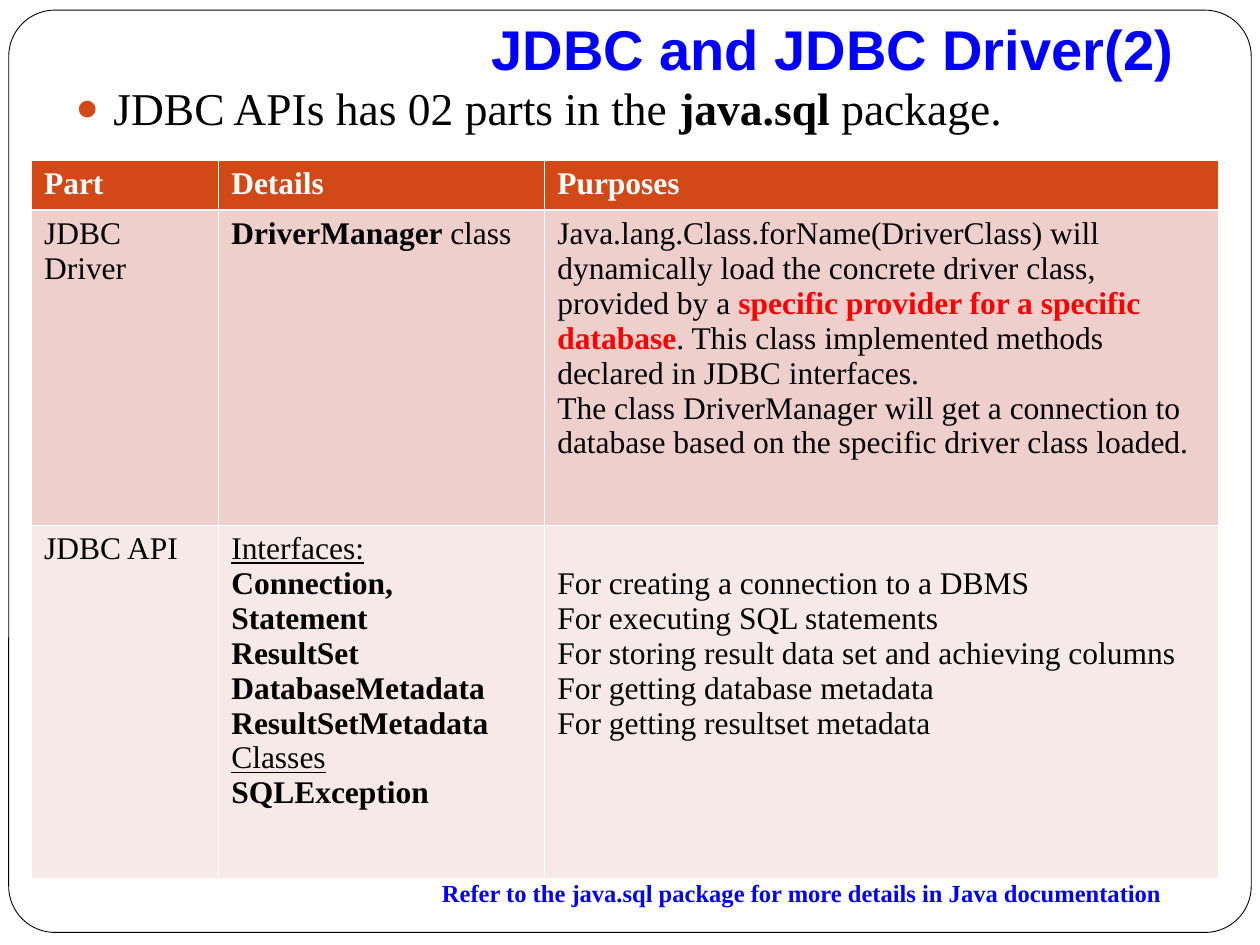
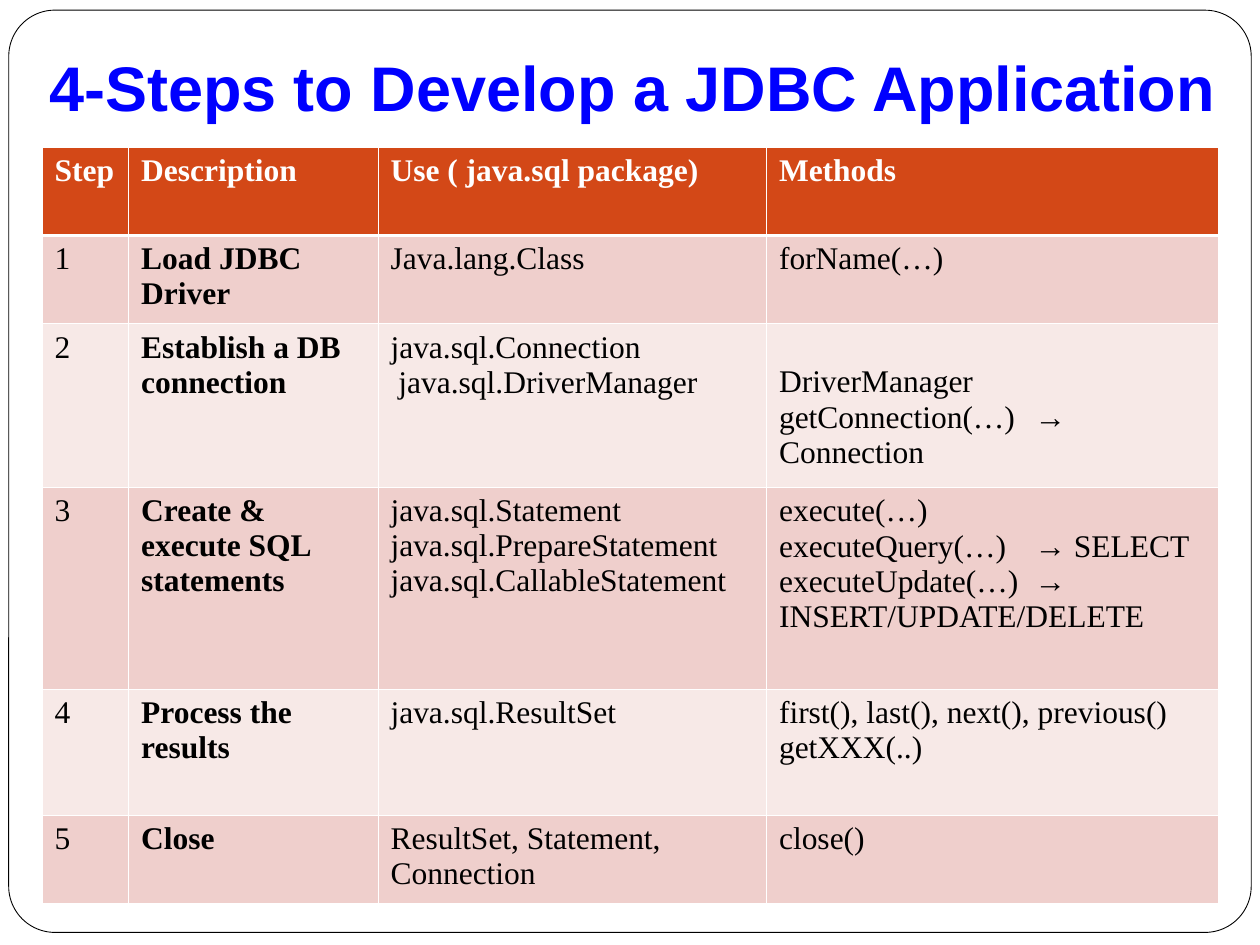
from lxml import etree
from pptx import Presentation
from pptx.dml.color import RGBColor
from pptx.enum.shapes import MSO_SHAPE
from pptx.enum.text import MSO_ANCHOR, MSO_AUTO_SIZE, PP_ALIGN
from pptx.oxml.ns import qn
from pptx.util import Pt

ROUNDED = MSO_SHAPE.ROUNDED_RECTANGLE
BOTTOM, TOP = MSO_ANCHOR.BOTTOM, MSO_ANCHOR.TOP
NO_FIT, GROW = MSO_AUTO_SIZE.NONE, MSO_AUTO_SIZE.SHAPE_TO_FIT_TEXT
RIGHT, JUSTIFY, LEFT = PP_ALIGN.RIGHT, PP_ALIGN.JUSTIFY, PP_ALIGN.LEFT

COLORS = {
    "white": "FFFFFF",
    "black": "000000",
    "blue": "0000FF",
    "red": "FF0000",
    "orange": "D34817",
    "odd": "EFCFCC",
    "even": "F7E9E7",
}
SERIF, SANS = "Times New Roman", "Arial"
TEXT = {"name": SERIF, "size": 18, "bold": False, "color": "black"}
HEADER = {**TEXT, "bold": True, "color": "white"}
BULLET = {**TEXT, "size": 26}
NOTE = {**TEXT, "size": 14, "bold": True, "color": "blue"}
TITLE = {"name": SANS, "bold": True, "color": "blue"}
BOLD = {"bold": True}
UNDERLINE = {"underline": True}
WARNING = {"bold": True, "color": "red"}
ARROW = ("→", {"name": SANS})
ARROW_TAB = 146
WORD_GAP = 4.5
LINE_HEIGHT = 19.9
MARGIN_TOP = 3.6
THIN, THICK = 0.5, 1.5

PARTS = [
    ["Part", "Details", "Purposes"],
    [
        "JDBC Driver",
        [[("DriverManager ", BOLD), "class"]],
        [
            [
                "Java.lang.Class.forName(DriverClass) will dynamically load the "
                "concrete driver class, provided by a ",
                ("specific provider for a specific database", WARNING),
                ". This class implemented methods declared in JDBC interfaces.",
            ],
            "The class DriverManager will get a connection to database based on "
            "the specific driver class loaded.",
        ],
    ],
    [
        "JDBC API",
        [
            ("Interfaces:", UNDERLINE),
            ("Connection,", BOLD),
            ("Statement", BOLD),
            ("ResultSet", BOLD),
            ("DatabaseMetadata", BOLD),
            ("ResultSetMetadata", BOLD),
            ("Classes", UNDERLINE),
            ("SQLException", BOLD),
        ],
        [
            "For creating a connection to a DBMS",
            "For executing SQL statements",
            "For storing result data set and achieving columns",
            "For getting database metadata",
            "For getting resultset metadata",
        ],
    ],
]

STEPS = [
    ["Step", "Description", "Use ( java.sql package)", "Methods"],
    ["1", ("Load JDBC Driver", BOLD), "Java.lang.Class", "forName(…)"],
    [
        "2",
        ("Establish a DB connection", BOLD),
        ["java.sql.Connection", "java.sql.DriverManager"],
        [["DriverManager getConnection(…)\t", ARROW, " Connection"]],
    ],
    [
        "3",
        ("Create & execute SQL statements", BOLD),
        ["java.sql.Statement", "java.sql.PrepareStatement", "java.sql.CallableStatement"],
        [
            "execute(…)",
            ["executeQuery(…)\t", ARROW, " SELECT"],
            ["executeUpdate(…)\t", ARROW, " INSERT/UPDATE/DELETE"],
        ],
    ],
    [
        "4",
        ("Process the results", BOLD),
        "java.sql.ResultSet",
        ["first(), last(), next(), previous()", "getXXX(..)"],
    ],
    ["5", ("Close", BOLD), "ResultSet, Statement, Connection", "close()"],
]


def rgb(name):
    return RGBColor.from_string(COLORS[name])


def set_all(target, values):
    for name, value in values.items():
        setattr(target, name, value)


def as_list(content):
    return content if isinstance(content, list) else [content]


def place(shape, left, top, width, height):
    sides = {"left": left, "top": top, "width": width, "height": height}
    set_all(shape, {name: Pt(value) for name, value in sides.items()})


def add_element(parent, tag, **attributes):
    return etree.SubElement(parent, qn(tag), attributes)


def write_spans(para, spans, base):
    for span in as_list(spans):
        words, changes = span if isinstance(span, tuple) else (span, {})
        values = {**base, **changes}
        run = para.add_run()
        run.text = words
        run.font.color.rgb = rgb(values.pop("color"))
        values["size"] = Pt(values["size"])
        set_all(run.font, values)


def add_tab(para, position):
    tabs = add_element(para._p.get_or_add_pPr(), "a:tabLst")
    add_element(tabs, "a:tab", pos=str(Pt(position)), algn="l")


def add_page(deck, layout, title, size, bounds):
    page = deck.slides.add_slide(deck.slide_layouts[layout])
    frame = page.shapes.add_shape(ROUNDED, Pt(5), Pt(5.8), Pt(710), Pt(527))
    frame.adjustments[0] = 0.05
    frame.shadow.inherit = False
    frame.fill.solid()
    frame.fill.fore_color.rgb = rgb("white")
    frame.line.color.rgb = rgb("black")
    frame.line.width = Pt(THIN)
    page.shapes._spTree.insert(2, frame._element)

    heading = page.shapes.title
    place(heading, *bounds)
    set_all(heading.text_frame, {
        "vertical_anchor": BOTTOM, "auto_size": NO_FIT, "margin_bottom": Pt(7.2),
    })
    para = heading.text_frame.paragraphs[0]
    para.alignment = RIGHT
    write_spans(para, title, {**TITLE, "size": size})
    return page


def fill_bullet(box, spans, bounds):
    place(box, *bounds)
    set_all(box.text_frame, {"vertical_anchor": TOP, "auto_size": NO_FIT})
    para = box.text_frame.paragraphs[0]
    properties = para._p.get_or_add_pPr()
    properties.set("marL", str(Pt(21.6)))
    properties.set("indent", str(Pt(-21.6)))
    color = add_element(properties, "a:buClr")
    add_element(color, "a:srgbClr", val=COLORS["orange"])
    add_element(properties, "a:buSzPct", val="85000")
    add_element(properties, "a:buFont", typeface=SANS)
    add_element(properties, "a:buChar", char="●")
    set_all(para, {"alignment": JUSTIFY, "line_spacing": 0.8, "space_before": Pt(0)})
    write_spans(para, spans, BULLET)


def add_note(page, words, bounds):
    box = page.shapes.add_textbox(*map(Pt, bounds))
    set_all(box.text_frame, {"word_wrap": False, "auto_size": GROW})
    para = box.text_frame.paragraphs[0]
    para.alignment = LEFT
    write_spans(para, words, NOTE)


def set_borders(cell, row):
    widths = {
        "a:lnL": THIN,
        "a:lnR": THIN,
        "a:lnT": THICK if row == 1 else THIN,
        "a:lnB": THICK if row == 0 else THIN,
    }
    properties = cell._tc.get_or_add_tcPr()
    for tag, width in widths.items():
        line = add_element(properties, tag, w=str(Pt(width)))
        fill = add_element(line, "a:solidFill")
        add_element(fill, "a:srgbClr", val=COLORS["white"])


def fill_cell(cell, content, row):
    set_borders(cell, row)
    cell.fill.solid()
    cell.fill.fore_color.rgb = rgb("orange" if row == 0 else "odd" if row % 2 else "even")
    frame = cell.text_frame
    for index, spans in enumerate(as_list(content)):
        para = frame.add_paragraph() if index else frame.paragraphs[0]
        if ARROW in as_list(spans):
            add_tab(para, ARROW_TAB)
        write_spans(para, spans, TEXT if row else HEADER)


def add_grid(page, rows, left, top, widths, heights):
    bounds = map(Pt, (left, top, sum(widths), sum(heights)))
    table = page.shapes.add_table(len(rows), len(widths), *bounds).table
    table.horz_banding = False
    for column, width in zip(table.columns, widths):
        column.width = Pt(width)
    for row, height in zip(table.rows, heights):
        row.height = Pt(height)
    for row, contents in enumerate(rows):
        for column, content in enumerate(contents):
            fill_cell(table.cell(row, column), content, row)
    return table


def skip_line(cell):
    cell.margin_top = Pt(MARGIN_TOP + LINE_HEIGHT)


def add_parts_page(deck):
    page = add_page(deck, 1, "JDBC and JDBC Driver(2)", 32, (72, 0, 606, 54))
    sentence = ["JDBC APIs has 02 parts in the ", ("java.sql", BOLD), " package."]
    fill_bullet(page.placeholders[1], sentence, (36, 48, 636, 48))
    table = add_grid(page, PARTS, 18, 91.4, (107, 186.3, 384.7), (28.8, 180, 202))
    skip_line(table.cell(2, 2))
    add_note(
        page,
        "Refer to the java.sql package for more details in Java documentation",
        (245.5, 498, 426, 24.5),
    )


def add_steps_page(deck):
    title = "4-Steps to Develop a JDBC Application"
    page = add_page(deck, 5, title, 36, (0, 12, 702, 66))
    heights = (50.4, 50.4, 93.6, 115.2, 72, 50.4)
    table = add_grid(page, STEPS, 24, 84.2, (49.5, 142.5, 222, 258), heights)
    skip_line(table.cell(2, 3))
    manager = table.cell(2, 2).text_frame.paragraphs[1]
    manager._p.get_or_add_pPr().set("marL", str(Pt(WORD_GAP)))


def main():
    deck = Presentation()
    deck.slide_width, deck.slide_height = Pt(720), Pt(540)
    add_parts_page(deck)
    add_steps_page(deck)
    deck.save("out.pptx")


if __name__ == "__main__":
    main()
